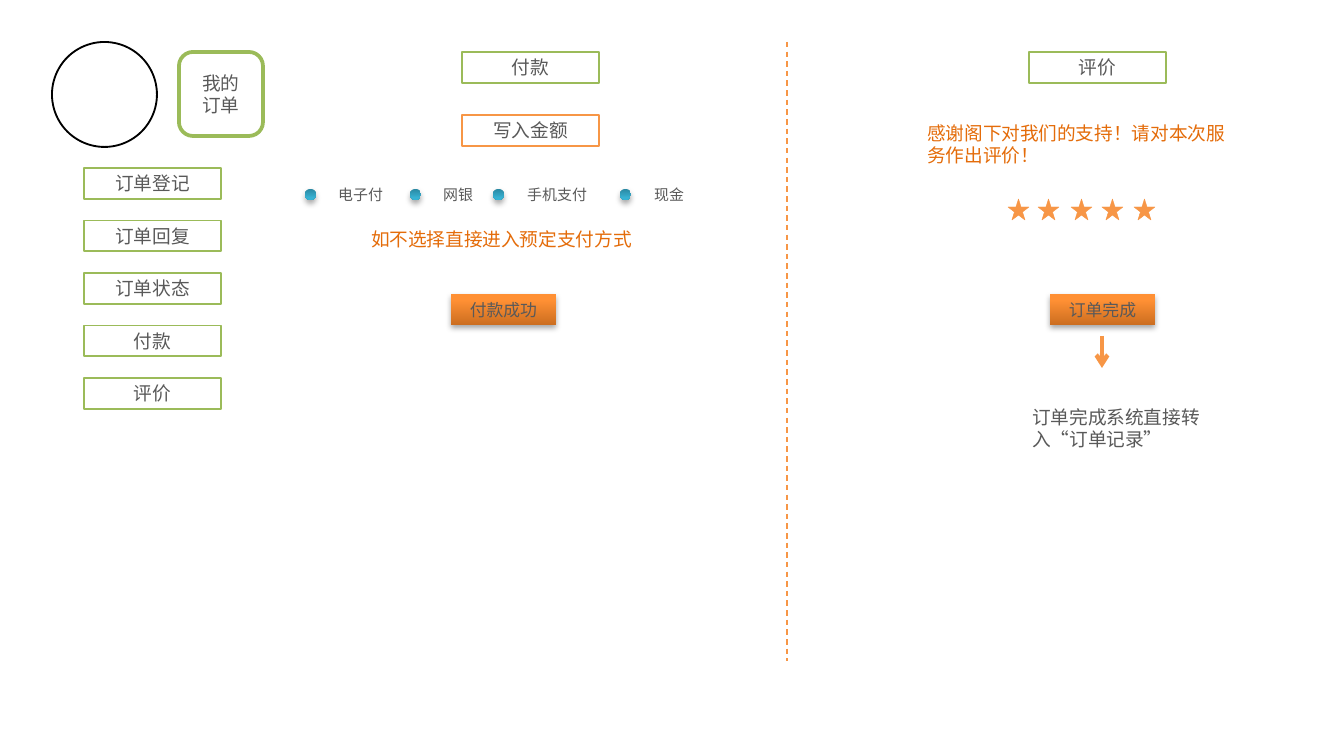
from lxml.etree import SubElement
from pptx import Presentation
from pptx.dml.color import RGBColor
from pptx.enum.dml import MSO_LINE
from pptx.enum.shapes import MSO_CONNECTOR, MSO_SHAPE
from pptx.enum.text import MSO_ANCHOR, MSO_AUTO_SIZE, PP_ALIGN
from pptx.oxml.ns import qn
from pptx.util import Emu, Pt

FONT = "Noto Sans CJK SC"
GREEN, ORANGE, GREY = "9BBB59", "F79646", "595959"
DEEP_ORANGE, WHITE, BLACK = "E46C0A", "FFFFFF", "000000"
TEAL_STOPS = [(0, "2A88A2"), (80, "37B1D2"), (100, "34B4D6")]
ORANGE_STOPS = [(0, "CC6E20"), (80, "FF9034"), (100, "FF9136")]

MENU = ["订单登记", "订单回复", "订单状态", "付款", "评价"]
MENU_LEFT, MENU_TOP, MENU_PITCH = 84, 168, 52.5
HEADINGS = [
    ("付款", 462, 52, GREEN),
    ("评价", 1029, 52, GREEN),
    ("写入金额", 462, 115, ORANGE),
]
PAYMENTS = [
    ("电子付", 305, 325, 85),
    ("网银", 410, 430, 85),
    ("手机支付", 493, 514, 94),
    ("现金", 620, 641, 85),
]
NOTES = [
    ("如不选择直接进入预定支付方式", (358, 221, 305, 36), DEEP_ORANGE),
    ("感谢阁下对我们的支持！请对本次服务作出评价！", (914, 115, 325, 59), DEEP_ORANGE),
    ("订单完成系统直接转入“订单记录”", (1019, 399, 210, 59), GREY),
]
BUTTONS = [("付款成功", 451), ("订单完成", 1050)]
STAR_LEFTS = [1008, 1038, 1071, 1102, 1134]


def px(value):
    return Emu(round(value * 914400 / 134.4))


def color(value):
    return RGBColor.from_string(value)


def write(shape, text, size, ink, align=PP_ALIGN.LEFT):
    frame = shape.text_frame
    frame.word_wrap = True
    paragraph = frame.paragraphs[0]
    paragraph.alignment = align
    run = paragraph.add_run()
    run.text = text
    run.font.size = Pt(size)
    run.font.name = FONT
    run.font.color.rgb = color(ink)
    SubElement(run.font._element, qn("a:ea"), typeface=FONT)


def add_shape(kind, box, fill=None, line=None, width=1, text=None, size=10):
    shape = slide.shapes.add_shape(kind, *map(px, box))
    if fill:
        shape.fill.solid()
        shape.fill.fore_color.rgb = color(fill)
    if line:
        shape.line.color.rgb = color(line)
        shape.line.width = Pt(width)
    else:
        shape.line.fill.background()
    shape.shadow.inherit = False
    if text:
        shape.text_frame.vertical_anchor = MSO_ANCHOR.MIDDLE
        write(shape, text, size, GREY, PP_ALIGN.CENTER)
    return shape


def add_glossy(kind, box, stops, angle, text=None):
    shape = add_shape(kind, box, text=text, size=9)
    shape.fill.gradient()
    shape.fill.gradient_angle = angle
    properties = shape.element.spPr
    stop_list = properties.find(".//" + qn("a:gsLst"))
    for stop in list(stop_list):
        stop_list.remove(stop)
    for position, value in stops:
        stop = SubElement(stop_list, qn("a:gs"), pos=str(position * 1000))
        SubElement(stop, qn("a:srgbClr"), val=value)
    shadow = SubElement(properties.find(qn("a:effectLst")), qn("a:outerShdw"),
                        blurRad=str(Pt(3.1)), dist=str(Pt(1.8)),
                        dir="5400000", rotWithShape="0")
    shade = SubElement(shadow, qn("a:srgbClr"), val=BLACK)
    SubElement(shade, qn("a:alpha"), val="35000")


def add_text(text, box, size, ink):
    shape = slide.shapes.add_textbox(*map(px, box))
    write(shape, text, size, ink)
    shape.text_frame.auto_size = MSO_AUTO_SIZE.SHAPE_TO_FIT_TEXT


def add_vertical_line(x, top, bottom, width):
    connector = slide.shapes.add_connector(
        MSO_CONNECTOR.STRAIGHT, px(x), px(top), px(x), px(bottom))
    connector.line.color.rgb = color(ORANGE)
    connector.line.width = Pt(width)
    SubElement(connector._element.spPr, qn("a:effectLst"))
    return connector


presentation = Presentation()
presentation.slide_width, presentation.slide_height = px(1344), px(756)
slide = presentation.slides.add_slide(presentation.slide_layouts[6])

menu_boxes = [(text, MENU_LEFT, MENU_TOP + index * MENU_PITCH, GREEN)
              for index, text in enumerate(MENU)]
for text, left, top, outline in HEADINGS + menu_boxes:
    add_shape(MSO_SHAPE.RECTANGLE, (left, top, 137, 31), WHITE, outline, text=text)

for text, dot_left, text_left, width in PAYMENTS:
    add_text(text, (text_left, 179, width, 32), 8, GREY)
    add_glossy(MSO_SHAPE.OVAL, (dot_left, 189, 11, 11), TEAL_STOPS, 270)

for text, box, ink in NOTES:
    add_text(text, box, 10, ink)

for text, left in BUTTONS:
    add_glossy(MSO_SHAPE.RECTANGLE, (left, 294, 105, 31), ORANGE_STOPS, 90, text)

for left in STAR_LEFTS:
    add_shape(MSO_SHAPE.STAR_5_POINT, (left, 199, 21, 21), ORANGE, ORANGE, 0.25)

divider = add_vertical_line(787, 42, 661, 0.75)
divider.line.dash_style = MSO_LINE.DASH
arrow = add_vertical_line(1102, 336, 368, 2.25)
SubElement(arrow.line._get_or_add_ln(), qn("a:tailEnd"), type="arrow")

add_shape(MSO_SHAPE.OVAL, (52, 42, 105, 105), WHITE, BLACK)
add_shape(MSO_SHAPE.ROUNDED_RECTANGLE, (179, 52, 84, 84), WHITE, GREEN, 2, "我的订单")

presentation.save("out.pptx")
